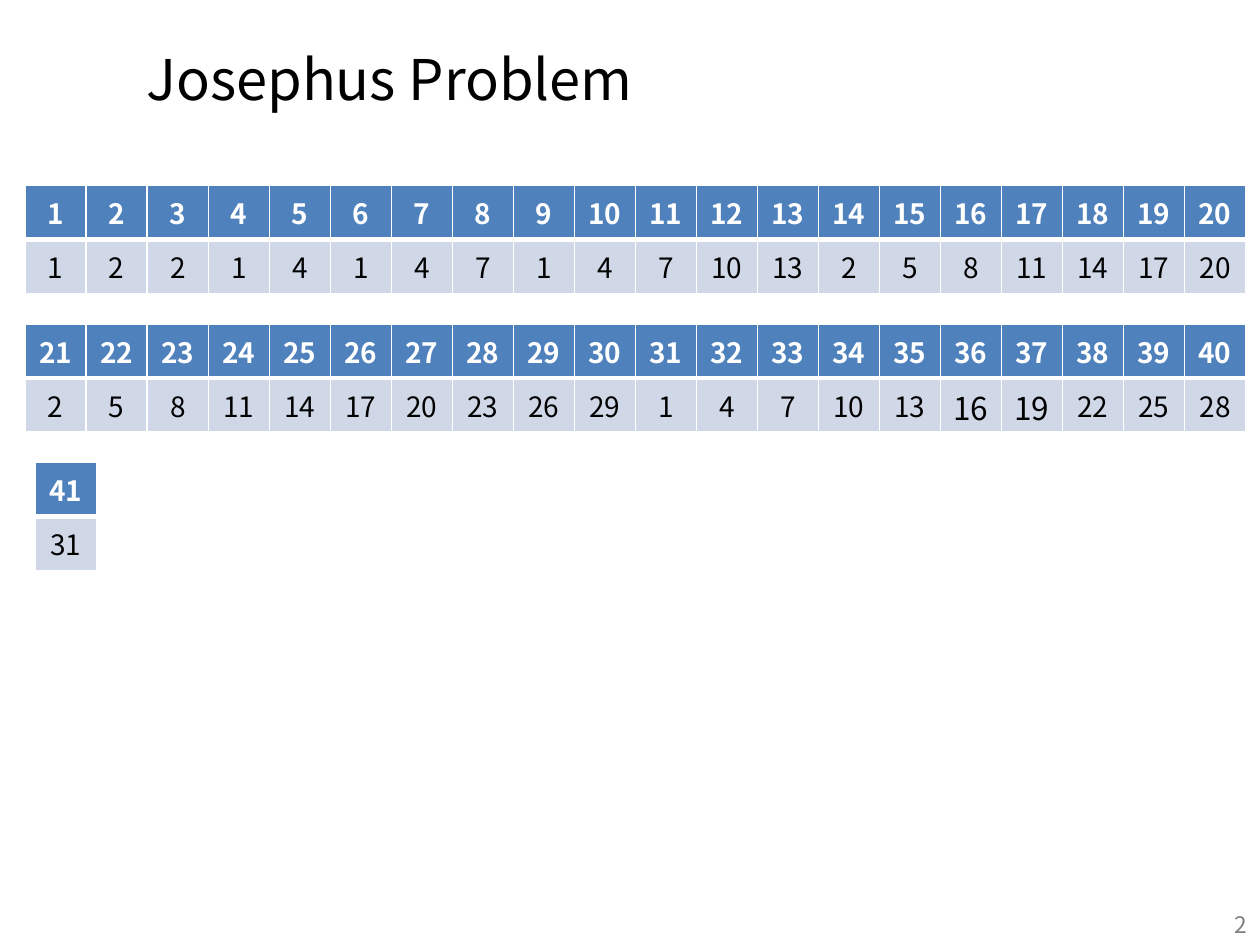
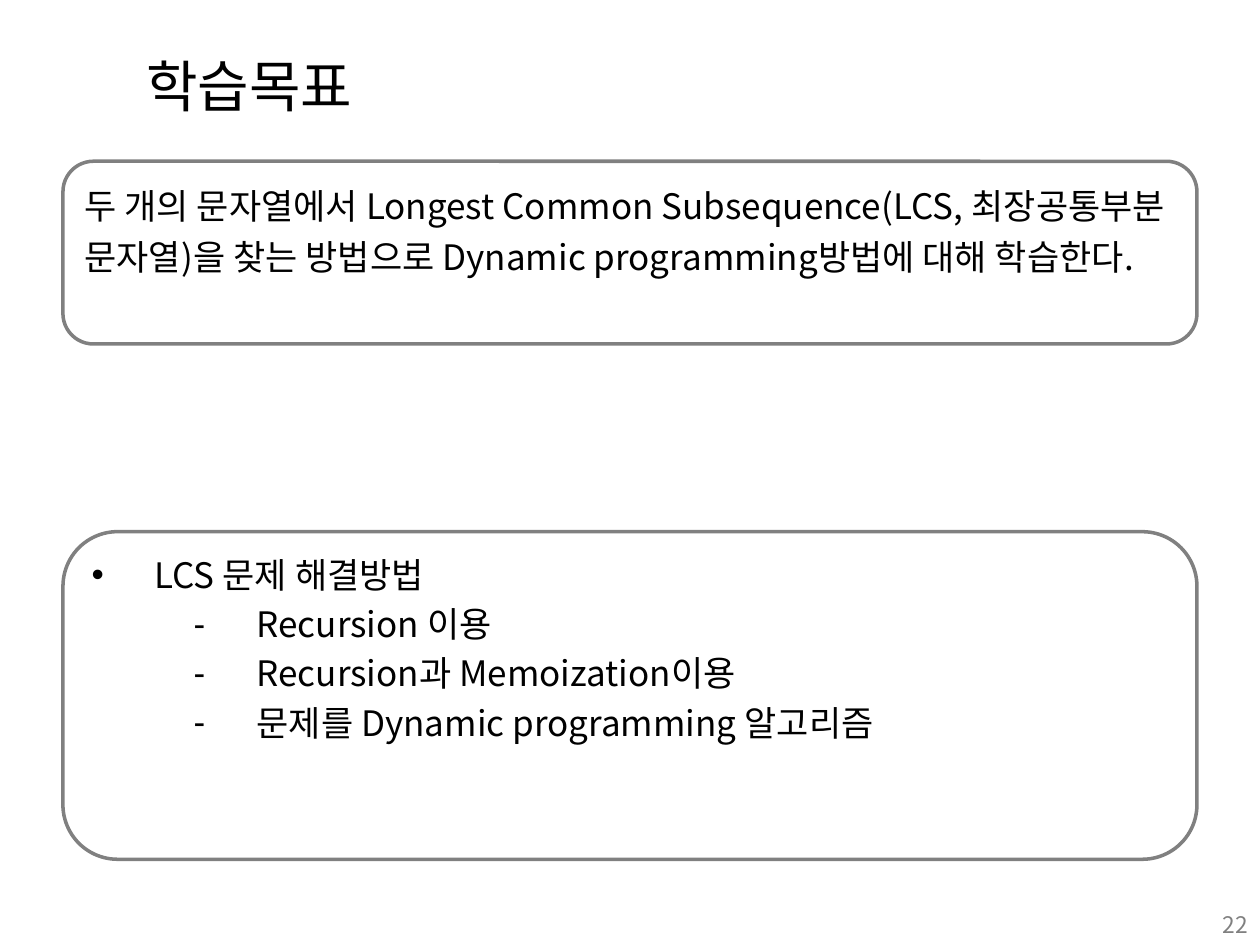
from itertools import accumulate

from lxml import etree
from pptx import Presentation
from pptx.dml.color import RGBColor
from pptx.enum.text import MSO_ANCHOR, MSO_AUTO_SIZE, PP_ALIGN
from pptx.oxml.ns import qn
from pptx.util import Inches, Pt

FONT = "Noto Sans CJK KR"
COLORS = {
    "text": "000000",
    "gray": "808080",
    "header": "4F81BD",
    "row": "D0D8E8",
    "white": "FFFFFF",
}
COL_W, ROW_H = 9.69 / 20, 0.43
TITLE_ONLY, TWO_CONTENT = 5, 3


def rgb(name):
    return RGBColor.from_string(COLORS[name])


def format_runs(p, size, color="text", bold=False):
    for r in p.runs:
        r.font.name = FONT
        r.font.size = Pt(size)
        r.font.bold = bold
        r.font.color.rgb = rgb(color)
        etree.SubElement(r.font._element, qn("a:ea"), typeface=FONT)


def place(sp, left, top, width, height):
    sp.left, sp.top = Inches(left), Inches(top)
    sp.width, sp.height = Inches(width), Inches(height)


def add_base_slide(prs, layout, title, title_box, number):
    """Add a slide with its title and page number."""
    s = prs.slides.add_slide(prs.slide_layouts[layout])
    sp = s.shapes.title
    place(sp, *title_box)
    tf = sp.text_frame
    tf.text = title
    tf.auto_size = MSO_AUTO_SIZE.NONE
    tf.vertical_anchor = MSO_ANCHOR.TOP
    p = tf.paragraphs[0]
    p.alignment = PP_ALIGN.LEFT
    format_runs(p, 32)

    tf = s.shapes.add_textbox(Inches(7.67), Inches(7.18), Inches(2.33), Inches(0.32)).text_frame
    tf.word_wrap = True
    p = tf.paragraphs[0]
    p.text = str(number)
    p.alignment = PP_ALIGN.RIGHT
    format_runs(p, 13, "gray")
    return s


def set_borders(cell, **widths):
    tcPr = cell._tc.get_or_add_tcPr()
    for i, side in enumerate("LRTB"):
        ln = etree.Element(qn(f"a:ln{side}"), w=str(Pt(widths.get(side, 1))))
        fill = etree.SubElement(ln, qn("a:solidFill"))
        etree.SubElement(fill, qn("a:srgbClr"), val=COLORS["white"])
        tcPr.insert(i, ln)


def fill_cell(cell, value, fill, color, bold, size=16, align=PP_ALIGN.CENTER):
    cell.fill.solid()
    cell.fill.fore_color.rgb = rgb(fill)
    cell.vertical_anchor = MSO_ANCHOR.MIDDLE
    p = cell.text_frame.paragraphs[0]
    p.text = str(value)
    p.alignment = align
    format_runs(p, size, color, bold)


def add_survivor_table(s, left, top, survivors, large=()):
    """Show group sizes above their survivors; those in large are bigger and left-aligned."""
    n = len(survivors)
    tbl = s.shapes.add_table(2, n, Inches(left), Inches(top),
                             Inches(COL_W * n), Inches(ROW_H * 2)).table
    for row in tbl.rows:
        row.height = Inches(ROW_H)
    for c, (size, survivor) in enumerate(survivors):
        tbl.columns[c].width = Inches(COL_W)
        head, body = tbl.cell(0, c), tbl.cell(1, c)
        fill_cell(head, size, "header", "white", True)
        look = (18, PP_ALIGN.LEFT) if size in large else (16, PP_ALIGN.CENTER)
        fill_cell(body, survivor, "row", "text", False, *look)
        set_borders(head, B=3)
        set_borders(body, T=3)


def fill_rounded_box(sp, box, paragraphs, line_spacing=1.0):
    """Turn a body placeholder into a rounded box of (text, bullet, indent) paragraphs."""
    place(sp, *box)
    geom = etree.Element(qn("a:prstGeom"), prst="roundRect")
    etree.SubElement(geom, qn("a:avLst"))
    sp._element.spPr.insert(1, geom)
    sp.fill.solid()
    sp.fill.fore_color.rgb = rgb("white")
    sp.line.color.rgb = rgb("gray")
    sp.line.width = Pt(2)

    tf = sp.text_frame
    tf.auto_size = MSO_AUTO_SIZE.NONE
    tf.vertical_anchor = MSO_ANCHOR.TOP
    for i, (text, bullet, indent) in enumerate(paragraphs):
        p = tf.add_paragraph() if i else tf.paragraphs[0]
        p.text = text
        pPr = p._p.get_or_add_pPr()
        pPr.set("marL", str(Inches(indent)))
        pPr.set("indent", str(Inches(-0.5 if bullet else 0)))
        if bullet:
            etree.SubElement(pPr, qn("a:buChar"), char=bullet)
        else:
            etree.SubElement(pPr, qn("a:buNone"))
        p.level = 1 if indent > 1 else 0
        p.line_spacing = line_spacing
        p.space_before = Pt(4 if i else 0)
        format_runs(p, 20)


def build_josephus(prs):
    s = add_base_slide(prs, TITLE_ONLY, "Josephus Problem", (1.06, 0.3, 8.9, 0.87), 2)
    # Every third person leaves the circle
    survivors = list(enumerate(accumulate(range(1, 42), lambda j, n: (j + 2) % n + 1), 1))
    add_survivor_table(s, 0.2, 1.47, survivors[:20])
    add_survivor_table(s, 0.2, 2.57, survivors[20:40], large=(36, 37))
    add_survivor_table(s, 0.28, 3.67, survivors[40:])


def build_goals(prs):
    s = add_base_slide(prs, TWO_CONTENT, "학습목표", (1.06, 0.36, 2.77, 0.69), 22)
    goal, methods = s.placeholders[1], s.placeholders[2]
    fill_rounded_box(goal, (0.5, 1.28, 9, 1.45), [
        ("두 개의 문자열에서 Longest Common Subsequence(LCS, 최장공통부분 문자열)을 "
         "찾는 방법으로 Dynamic programming방법에 대해 학습한다.", None, 0),
    ], line_spacing=1.2)
    fill_rounded_box(methods, (0.5, 4.22, 9, 2.6), [
        ("LCS 문제 해결방법", "•", 0.5),
        ("Recursion 이용", "‐", 1.31),
        ("Recursion과 Memoization이용", "‐", 1.31),
        ("문제를 Dynamic programming 알고리즘", "‐", 1.31),
    ])


def main():
    prs = Presentation()
    prs.slide_width, prs.slide_height = Inches(10), Inches(7.5)
    build_josephus(prs)
    build_goals(prs)
    prs.save("out.pptx")


if __name__ == "__main__":
    main()
